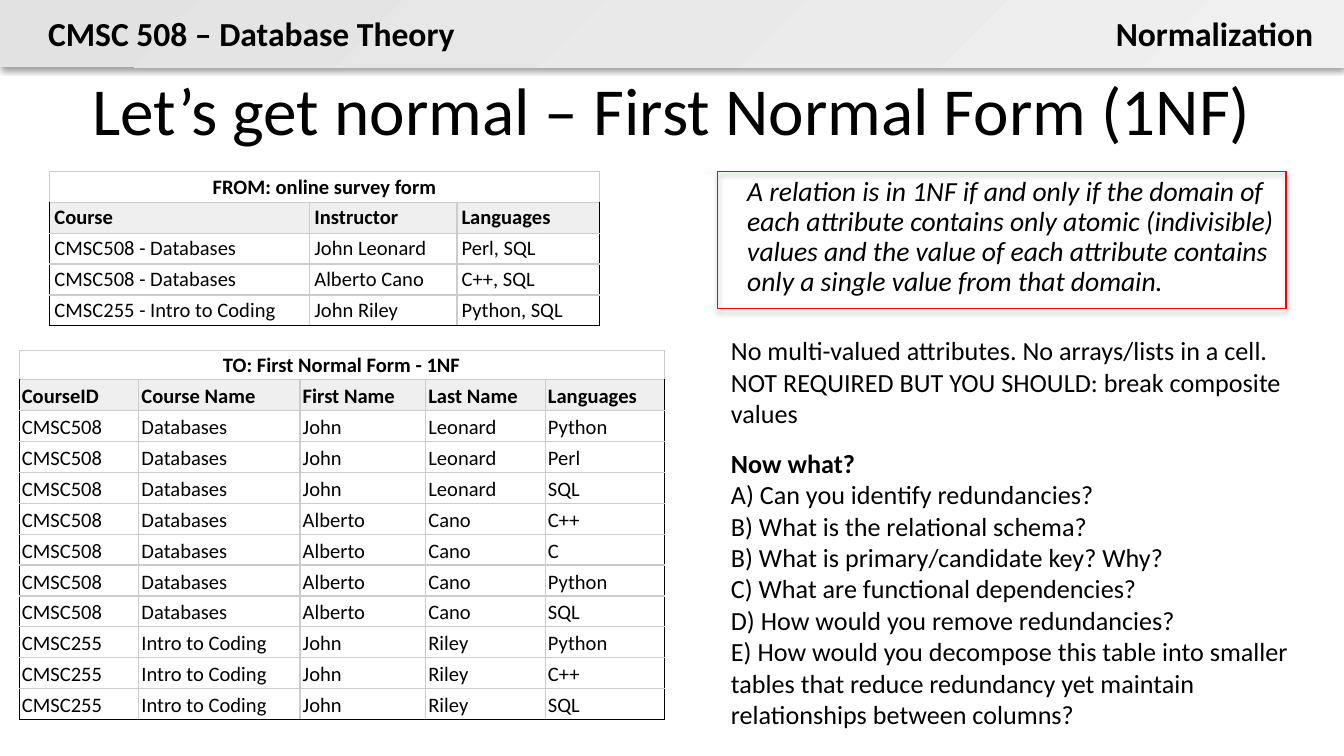
from dataclasses import dataclass

from lxml import etree
from pptx import Presentation
from pptx.dml.color import RGBColor
from pptx.enum.shapes import MSO_SHAPE
from pptx.enum.text import MSO_ANCHOR, MSO_AUTO_SIZE, PP_ALIGN
from pptx.oxml.ns import qn
from pptx.util import Emu, Inches, Pt

LEFT, CENTER, RIGHT = PP_ALIGN.LEFT, PP_ALIGN.CENTER, PP_ALIGN.RIGHT
MIDDLE, BOTTOM = MSO_ANCHOR.MIDDLE, MSO_ANCHOR.BOTTOM
NO_FIT, GROW = MSO_AUTO_SIZE.NONE, MSO_AUTO_SIZE.SHAPE_TO_FIT_TEXT
RECTANGLE = MSO_SHAPE.RECTANGLE
TITLE_AND_CONTENT = 1
GRID_UNIT = Inches(0.1)
GRID_COLUMNS, GRID_ROWS = 100, 56.25


@dataclass(frozen=True)
class Theme:
    font: str = "Calibri"
    ink: str = "000000"
    band_start: str = "E2E2E2"
    band_end: str = "F0F0F0"
    accent: str = "FF0000"
    cell_border: str = "CCCCCC"
    heading_fill: str = "EFEFEF"
    title_size: float = 36
    header_size: float = 18
    definition_size: float = 14.8
    body_size: float = 14
    table_size: float = 11
    line_width: float = 0.75


def grid(units):
    return Emu(round(units * GRID_UNIT))


class SlideBuilder:
    def __init__(self, slide, theme):
        self.slide = slide
        self.theme = theme

    def place(self, shape, column, row, columns, rows):
        shape.left, shape.top = grid(column), grid(row)
        shape.width, shape.height = grid(columns), grid(rows)

    def style(self, paragraph, size, align=LEFT, bold=False, italic=False):
        paragraph.alignment = align
        for run in paragraph.runs:
            font = run.font
            font.name, font.size = self.theme.font, Pt(size)
            font.bold, font.italic = bold, italic
            font.color.rgb = RGBColor.from_string(self.theme.ink)

    def shadow(self, shape, opacity, distance):
        shape.shadow.inherit = False
        effects = shape._element.spPr.find(qn("a:effectLst"))
        outer = etree.SubElement(
            effects, qn("a:outerShdw"), blurRad=str(Pt(3.1)), dist=str(Pt(distance)),
            dir="5400000", algn="ctr", rotWithShape="0")
        color = etree.SubElement(outer, qn("a:srgbClr"), val=self.theme.ink)
        etree.SubElement(color, qn("a:alpha"), val=str(opacity * 1000))

    def header_band(self, rows):
        band = self.slide.shapes.add_shape(RECTANGLE, 0, 0, grid(GRID_COLUMNS), grid(rows))
        band.fill.gradient()
        band.fill.gradient_angle = 315
        colors = (self.theme.band_start, self.theme.band_end)
        for stop, color in zip(band.fill.gradient_stops, colors):
            stop.color.rgb = RGBColor.from_string(color)
        band.line.fill.background()
        self.shadow(band, opacity=38, distance=1.6)

    def outline_box(self, *area):
        box = self.slide.shapes.add_shape(RECTANGLE, 0, 0, 0, 0)
        self.place(box, *area)
        box.fill.background()
        box.line.color.rgb = RGBColor.from_string(self.theme.accent)
        box.line.width = Pt(self.theme.line_width)
        self.shadow(box, opacity=35, distance=1.8)

    def text_box(self, text, area, wrap=True):
        box = self.slide.shapes.add_textbox(0, 0, 0, 0)
        self.place(box, *area)
        frame = box.text_frame
        frame.word_wrap, frame.auto_size = wrap, GROW
        frame.text = text
        return frame

    def header_text(self, text, area, align):
        frame = self.text_box(text, area, wrap=False)
        self.style(frame.paragraphs[0], self.theme.header_size, align, bold=True)

    def title(self, text, *area):
        title = self.slide.shapes.title
        self.place(title, *area)
        frame = title.text_frame
        frame.text = text
        frame.auto_size, frame.vertical_anchor = NO_FIT, MIDDLE
        self.style(frame.paragraphs[0], self.theme.title_size, CENTER)

    def definition(self, text, *area):
        body = self.slide.placeholders[1]
        self.place(body, *area)
        frame = body.text_frame
        frame.text = text
        frame.auto_size = NO_FIT
        paragraph = frame.paragraphs[0]
        paragraph.line_spacing = 0.9
        paragraph.space_before, paragraph.space_after = Pt(3), Pt(10)
        self.style(paragraph, self.theme.definition_size, italic=True)
        properties = paragraph._p.get_or_add_pPr()
        properties.set("marL", str(grid(3.8)))
        properties.set("indent", "0")
        etree.SubElement(properties, qn("a:buNone"))

    def discussion(self, remark, heading, questions, area):
        frame = self.text_box(remark, area)
        frame.add_paragraph().text = "\v".join([heading, *questions])
        for paragraph in frame.paragraphs:
            paragraph.space_after = Pt(10)
            self.style(paragraph, self.theme.body_size)
        frame.paragraphs[1].runs[0].font.bold = True

    def borders(self, cell, colors):
        """Give the cell its left, right, top and bottom line, in that order."""
        properties = cell._tc.get_or_add_tcPr()
        for position, (side, color) in enumerate(zip("LRTB", colors)):
            line = etree.Element(qn(f"a:ln{side}"), w=str(Pt(self.theme.line_width)))
            fill = etree.SubElement(line, qn("a:solidFill"))
            etree.SubElement(fill, qn("a:srgbClr"), val=color)
            properties.insert(position, line)

    def table(self, caption, records, column, row, widths, heights, insets):
        """Draw a caption row, a heading row and the records below them."""
        theme = self.theme
        last_row, last_column = len(records), len(widths) - 1
        table = self.slide.shapes.add_table(
            last_row + 1, len(widths), grid(column), grid(row),
            grid(sum(widths)), grid(sum(heights))).table
        table.first_row = table.horz_banding = False
        for table_column, width in zip(table.columns, widths):
            table_column.width = grid(width)
        for table_row, height in zip(table.rows, heights):
            table_row.height = grid(height)
        table.cell(0, 0).merge(table.cell(0, last_column))
        rows = [[caption] + [""] * last_column, *records]
        for r, texts in enumerate(rows):
            for c, text in enumerate(texts):
                cell = table.cell(r, c)
                cell.text = text
                cell.vertical_anchor = BOTTOM
                cell.margin_left = cell.margin_right = grid(insets[0])
                cell.margin_top = cell.margin_bottom = grid(insets[1])
                self.style(cell.text_frame.paragraphs[0], theme.table_size,
                           LEFT if r else CENTER, bold=r < 2)
                if r == 1:
                    cell.fill.solid()
                    cell.fill.fore_color.rgb = RGBColor.from_string(theme.heading_fill)
                else:
                    cell.fill.background()
                outer = (r and c == 0, r and c == last_column, False, r == last_row)
                self.borders(cell, [theme.ink if edge else theme.cell_border for edge in outer])


def main():
    presentation = Presentation()
    presentation.slide_width, presentation.slide_height = grid(GRID_COLUMNS), grid(GRID_ROWS)
    slide = presentation.slides.add_slide(presentation.slide_layouts[TITLE_AND_CONTENT])
    builder = SlideBuilder(slide, Theme())

    builder.header_band(5)
    builder.header_text("CMSC 508 – Database Theory", (2.6, 0.5, 32.6, 4), LEFT)
    builder.header_text("Normalization", (81.9, 0.5, 16.8, 4), RIGHT)
    builder.title("Let’s get normal – First Normal Form (1NF)", 5, 5.45, 90, 5.2)

    survey = [
        ("Course", "Instructor", "Languages"),
        ("CMSC508 - Databases", "John Leonard", "Perl, SQL"),
        ("CMSC508 - Databases", "Alberto Cano", "C++, SQL"),
        ("CMSC255 - Intro to Coding", "John Riley", "Python, SQL"),
    ]
    builder.table("FROM: online survey form", survey, 3.7, 12.75,
                  (19.35, 10.95, 10.6), [2.3] * 5, (0.35, 0.2))

    courses = [
        (("CMSC508", "Databases", "John", "Leonard"), ("Python", "Perl", "SQL")),
        (("CMSC508", "Databases", "Alberto", "Cano"), ("C++", "C", "Python", "SQL")),
        (("CMSC255", "Intro to Coding", "John", "Riley"), ("Python", "C++", "SQL")),
    ]
    normalized = [("CourseID", "Course Name", "First Name", "Last Name", "Languages")]
    normalized += [(*course, language) for course, languages in courses for language in languages]
    builder.table("TO: First Normal Form - 1NF", normalized, 1.43, 26.1,
                  (8.9, 12, 9.35, 8.9, 8.85), [2.15] + [2.3] * 11, (0.2, 0.1))

    builder.definition(
        "A relation is in 1NF if and only if the domain of each attribute contains only atomic "
        "(indivisible) values and the value of each attribute contains only a single value from "
        "that domain.", 50.8, 12.75, 48, 11.7)
    builder.outline_box(53.4, 12.75, 42.3, 10.2)
    builder.discussion(
        "No multi-valued attributes. No arrays/lists in a cell. "
        "NOT REQUIRED BUT YOU SHOULD: break composite values",
        "Now what?",
        ("A) Can you identify redundancies?", "B) What is the relational schema?",
         "B) What is primary/candidate key? Why?", "C) What are functional dependencies?",
         "D) How would you remove redundancies?",
         "E) How would you decompose this table into smaller tables that reduce redundancy "
         "yet maintain relationships between columns?"),
        (53.4, 24.4, 44.4, 30.7))

    presentation.save("out.pptx")


if __name__ == "__main__":
    main()
